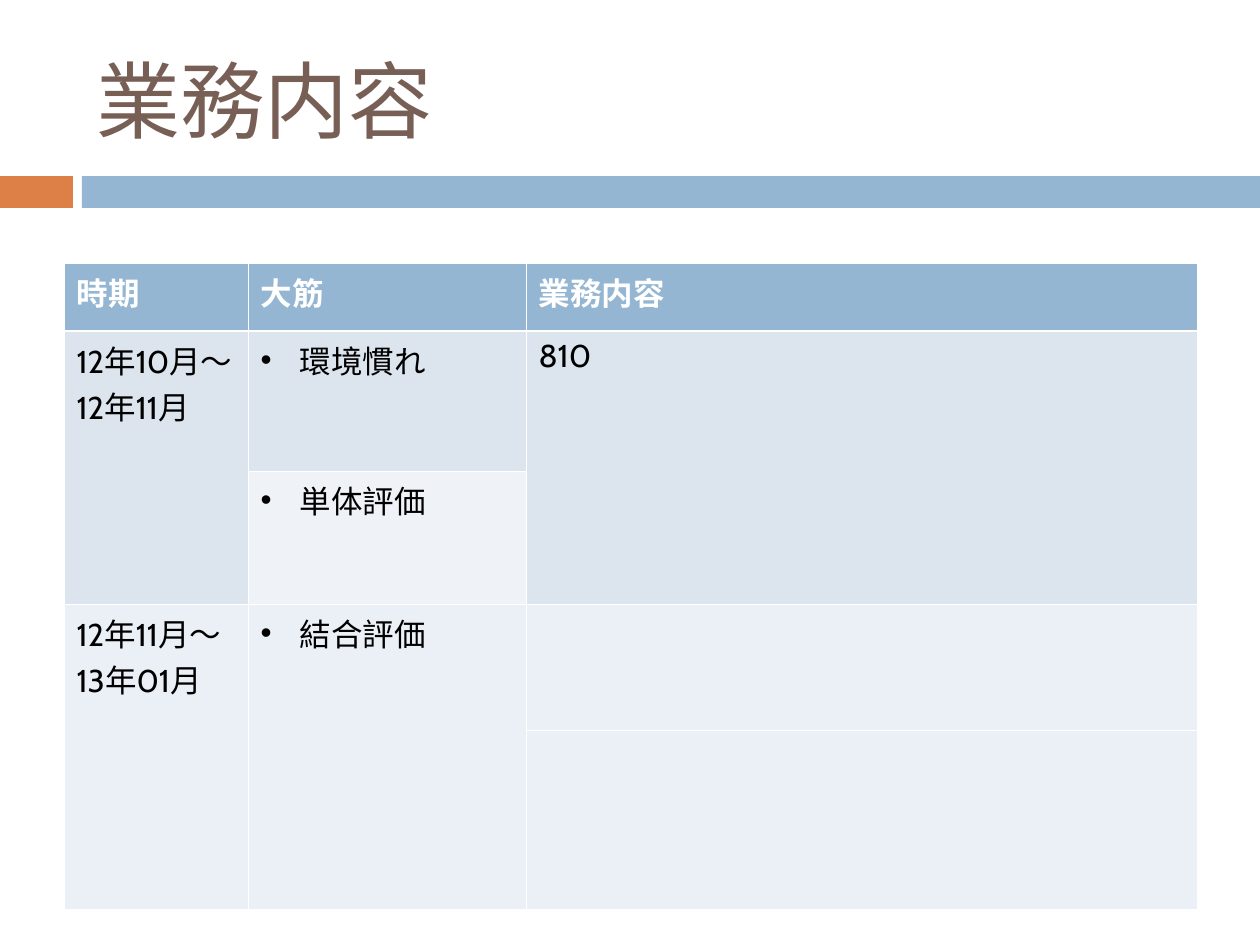
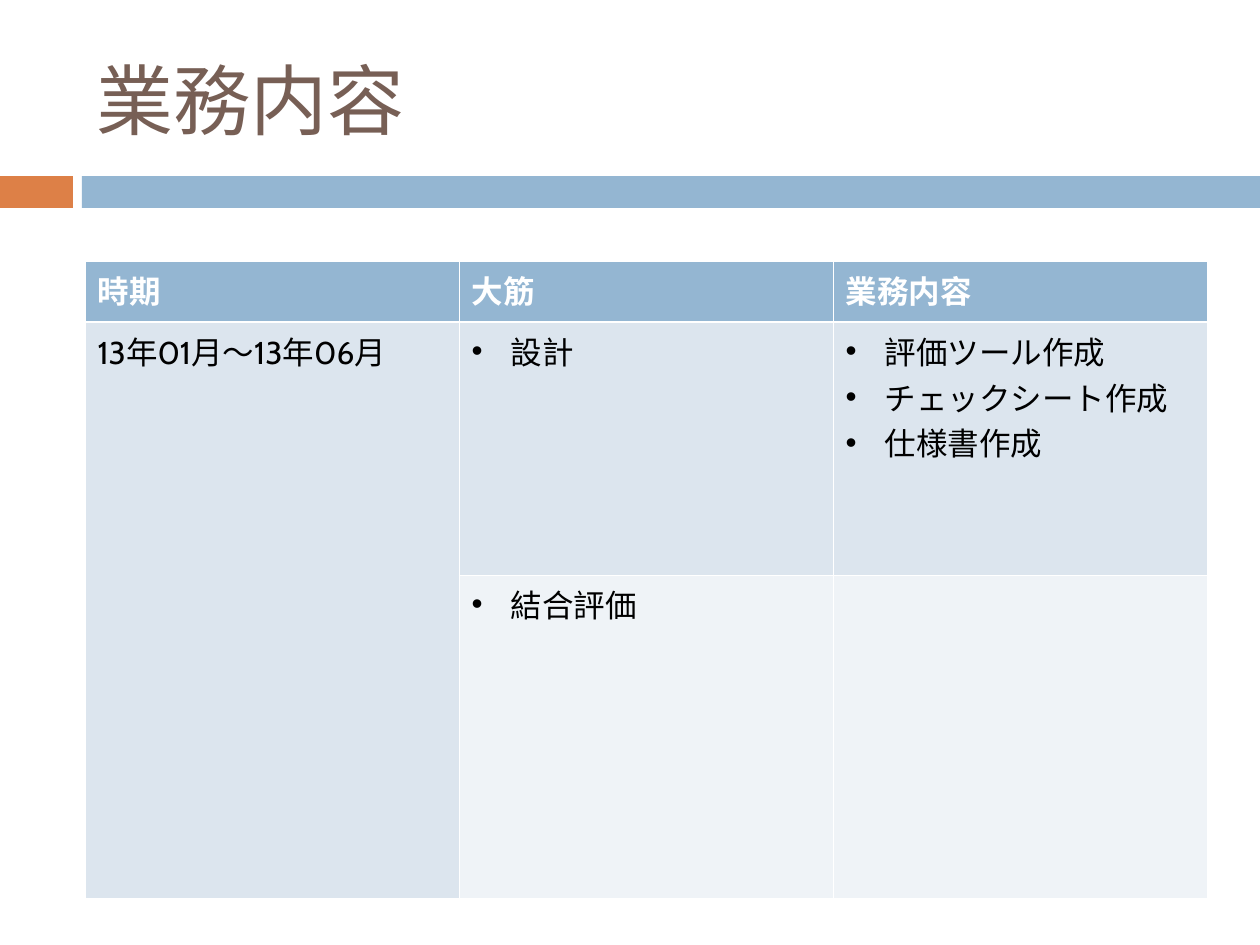
from dataclasses import dataclass

import pptx
import pptx.dml.color
import pptx.enum.shapes
import pptx.enum.text
import pptx.oxml
import pptx.oxml.ns
import pptx.util

PX = 914400 / 126


@dataclass(frozen=True)
class Theme:
    latin: str = "Cabin"
    asian: str = "Noto Sans CJK JP"
    white: str = "FFFFFF"
    black: str = "000000"
    brown: str = "775F55"
    orange: str = "DD8047"
    blue: str = "94B6D2"
    dark: str = "DCE5EE"
    light: str = "EFF3F7"
    mist: str = "EAF0F6"
    body: int = 18
    thin: float = 0.45
    thick: float = 1.47


THEME = Theme()


@dataclass(frozen=True)
class Box:
    left: int
    top: int
    width: int
    height: int

    def emu(self) -> list[int]:
        return [emu(n) for n in (self.left, self.top, self.width, self.height)]


@dataclass(frozen=True)
class Band:
    box: Box
    fill: str


@dataclass(frozen=True)
class Cell:
    row: int
    col: int
    fill: str
    lines: tuple[str, ...] = ()
    dots: bool = False
    span: int = 1


@dataclass(frozen=True)
class Page:
    size: int
    left: int
    top: int
    cols: tuple[int, ...]
    rows: tuple[int, ...]
    cells: tuple[Cell, ...]


TITLE = "業務内容"
TITLE_BOX = Box(84, 31, 1124, 136)
BANDS = (
    Band(Box(0, 176, 73, 32), THEME.orange),
    Band(Box(82, 176, 1178, 32), THEME.blue),
)
HEADS = ("時期", "大筋", TITLE)
INDENT = 39

PAGES = (
    Page(48, 64, 263, (184, 278, 671), (68, 140, 133, 126, 179), (
        Cell(1, 0, THEME.dark, ("12年10月〜12年11月",), span=2),
        Cell(1, 1, THEME.dark, ("環境慣れ",), dots=True),
        Cell(1, 2, THEME.dark, ("810",), span=2),
        Cell(2, 1, THEME.light, ("単体評価",), dots=True),
        Cell(3, 0, THEME.mist, ("12年11月〜13年01月",), span=2),
        Cell(3, 1, THEME.mist, ("結合評価",), dots=True, span=2),
        Cell(3, 2, THEME.mist),
        Cell(4, 2, THEME.mist),
    )),
    Page(44, 85, 261, (374,) * 3, (61, 253, 323), (
        Cell(1, 0, THEME.dark, ("13年01月〜13年06月",), span=2),
        Cell(1, 1, THEME.dark, ("設計",), dots=True),
        Cell(1, 2, THEME.dark,
             ("評価ツール作成", "チェックシート作成", "仕様書作成"), dots=True),
        Cell(2, 1, THEME.light, ("結合評価",), dots=True),
        Cell(2, 2, THEME.light),
    )),
)


def emu(n: int) -> int:
    return round(n * PX)


def rgb(tint: str) -> pptx.dml.color.RGBColor:
    return pptx.dml.color.RGBColor.from_string(tint)


def node(inner: str, tag: str, attrs: str = ""):
    """Make one DrawingML element."""
    space = pptx.oxml.ns.nsdecls("a")
    return pptx.oxml.parse_xml(f"<a:{tag} {space} {attrs}>{inner}</a:{tag}>")


def add_run(para, text: str, size: int, tint: str, latin: str,
            bold: bool = False) -> None:
    run = para.add_run()
    run.text = text
    run.font.size = pptx.util.Pt(size)
    run.font.bold = bold
    run.font.color.rgb = rgb(tint)
    run.font.name = latin
    run.font._element.append(node("", "ea", f'typeface="{THEME.asian}"'))


def add_dot(para) -> None:
    props = para._p.get_or_add_pPr()
    props.set("marL", str(emu(INDENT)))
    props.set("indent", str(-emu(INDENT)))
    props.append(node(f'<a:srgbClr val="{THEME.black}"/>', "buClr"))
    props.append(node("", "buFont", 'typeface="Arial"'))
    props.append(node("", "buChar", 'char="•"'))


def add_rules(cell, row: int) -> None:
    """Draw the white lines around a cell, thick below the head row."""
    top = THEME.thick if row == 1 else THEME.thin
    base = THEME.thick if row == 0 else THEME.thin
    fill = f'<a:solidFill><a:srgbClr val="{THEME.white}"/></a:solidFill>'
    props = cell._tc.get_or_add_tcPr()
    for side, width in zip("LRTB", (THEME.thin, THEME.thin, top, base)):
        props.append(node(fill, f"ln{side}", f'w="{pptx.util.Pt(width)}"'))


def fill_cell(table, item: Cell) -> None:
    head = item.row == 0
    for row in range(item.row, item.row + item.span):
        part = table.cell(row, item.col)
        add_rules(part, row)
        part.fill.solid()
        part.fill.fore_color.rgb = rgb(item.fill)
    cell = table.cell(item.row, item.col)
    if item.span > 1:
        cell.merge(table.cell(item.row + item.span - 1, item.col))
    frame = cell.text_frame
    for i, line in enumerate(item.lines):
        para = frame.add_paragraph() if i else frame.paragraphs[0]
        if item.dots:
            add_dot(para)
        tint = THEME.white if head else THEME.black
        add_run(para, line, THEME.body, tint, THEME.latin, head)


def add_grid(slide, page: Page) -> None:
    box = Box(page.left, page.top, sum(page.cols), sum(page.rows))
    table = slide.shapes.add_table(
        len(page.rows), len(page.cols), *box.emu()).table
    for col, width in zip(table.columns, page.cols):
        col.width = emu(width)
    for row, height in zip(table.rows, page.rows):
        row.height = emu(height)
    heads = tuple(Cell(0, i, THEME.blue, (text,))
                  for i, text in enumerate(HEADS))
    for item in heads + page.cells:
        fill_cell(table, item)


def add_band(slide, band: Band) -> None:
    kind = pptx.enum.shapes.MSO_SHAPE.RECTANGLE
    shape = slide.shapes.add_shape(kind, *band.box.emu())
    shape.shadow.inherit = False
    shape.fill.solid()
    shape.fill.fore_color.rgb = rgb(band.fill)
    shape.line.fill.background()


def add_title(slide, size: int) -> None:
    frame = slide.shapes.add_textbox(*TITLE_BOX.emu()).text_frame
    frame.word_wrap = True
    frame.vertical_anchor = pptx.enum.text.MSO_ANCHOR.MIDDLE
    add_run(frame.paragraphs[0], TITLE, size, THEME.brown, THEME.asian)


def main() -> None:
    deck = pptx.Presentation()
    deck.slide_width, deck.slide_height = emu(1260), emu(945)
    for page in PAGES:
        slide = deck.slides.add_slide(deck.slide_layouts[6])
        for band in BANDS:
            add_band(slide, band)
        add_title(slide, page.size)
        add_grid(slide, page)
    deck.save("out.pptx")


if __name__ == "__main__":
    main()
